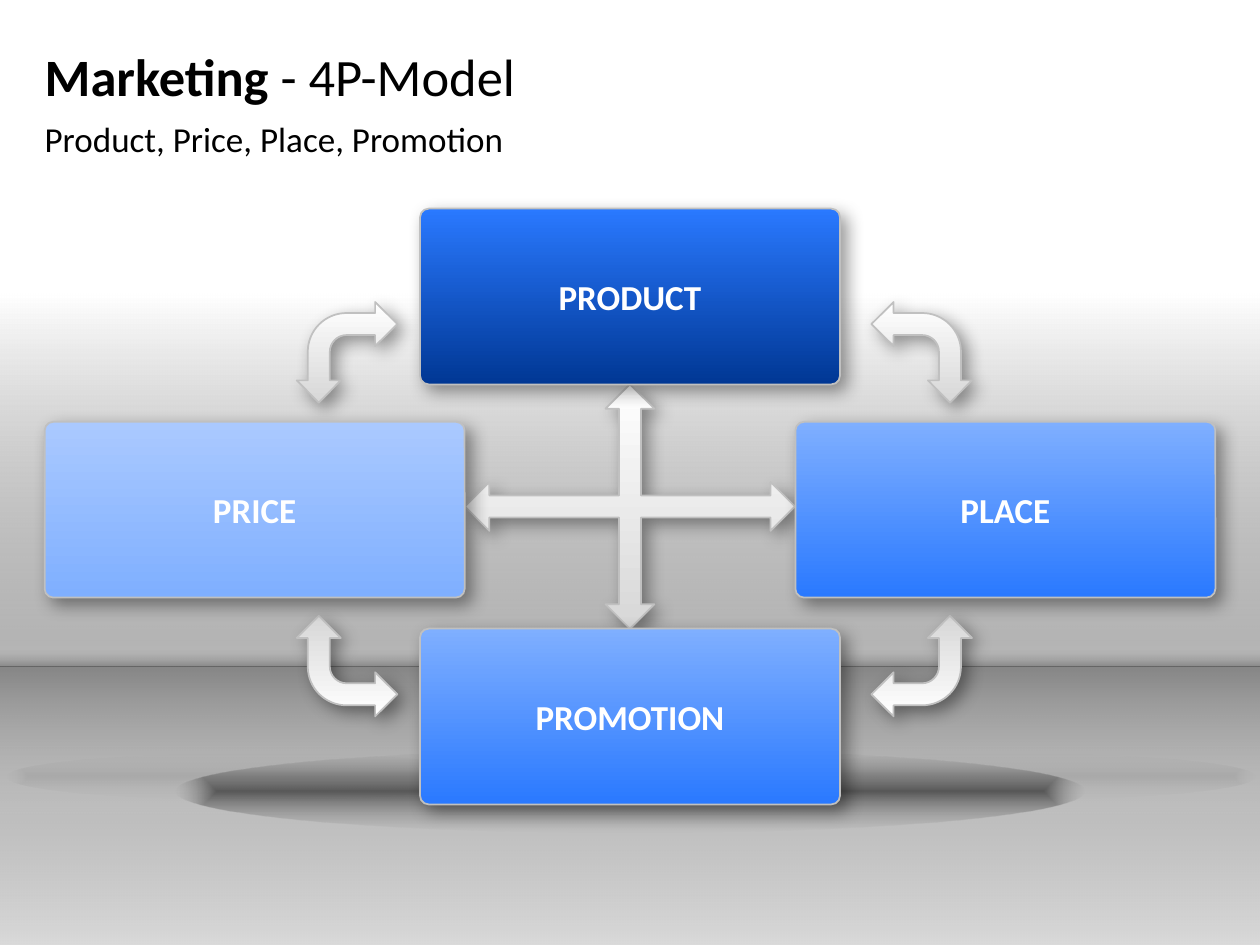
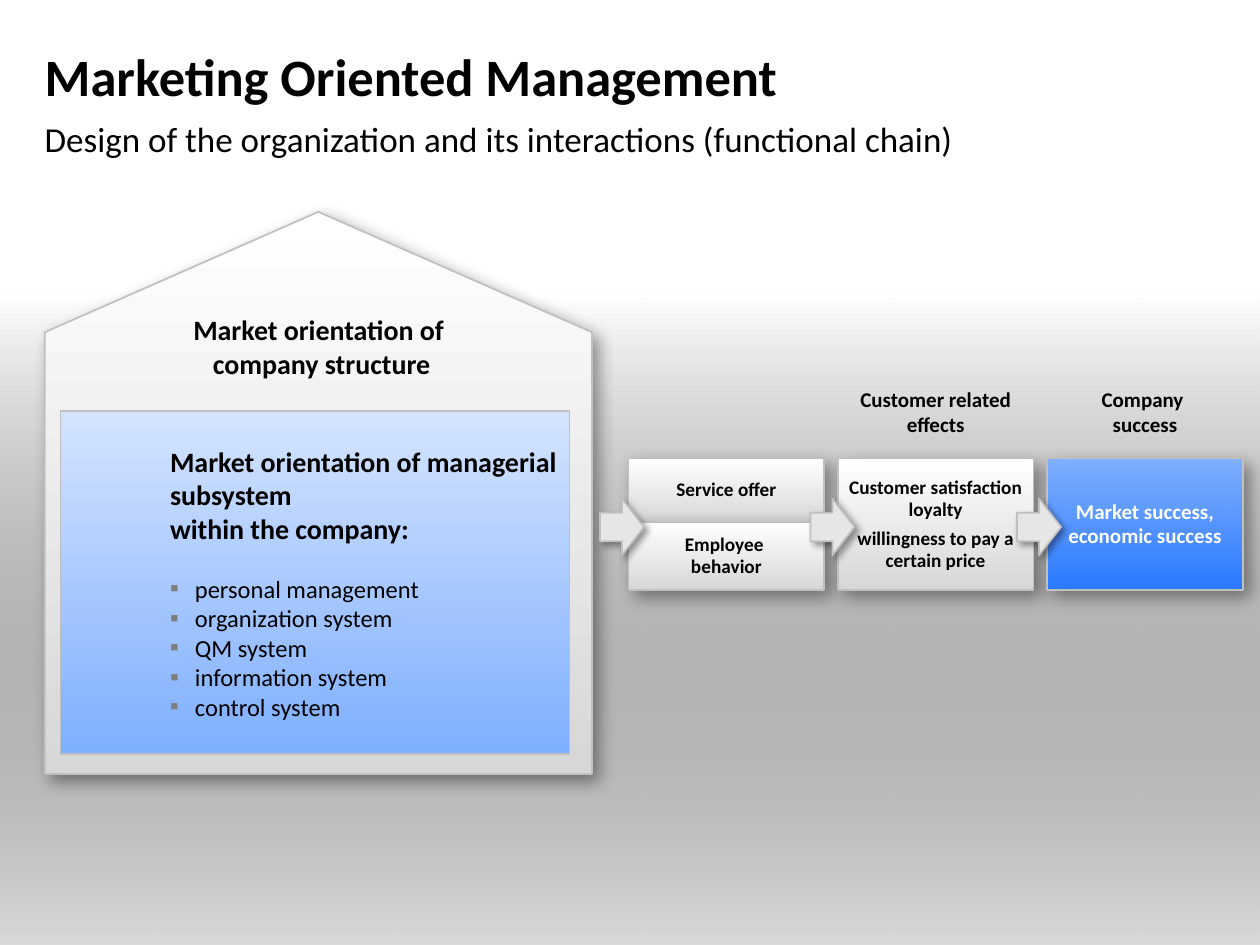
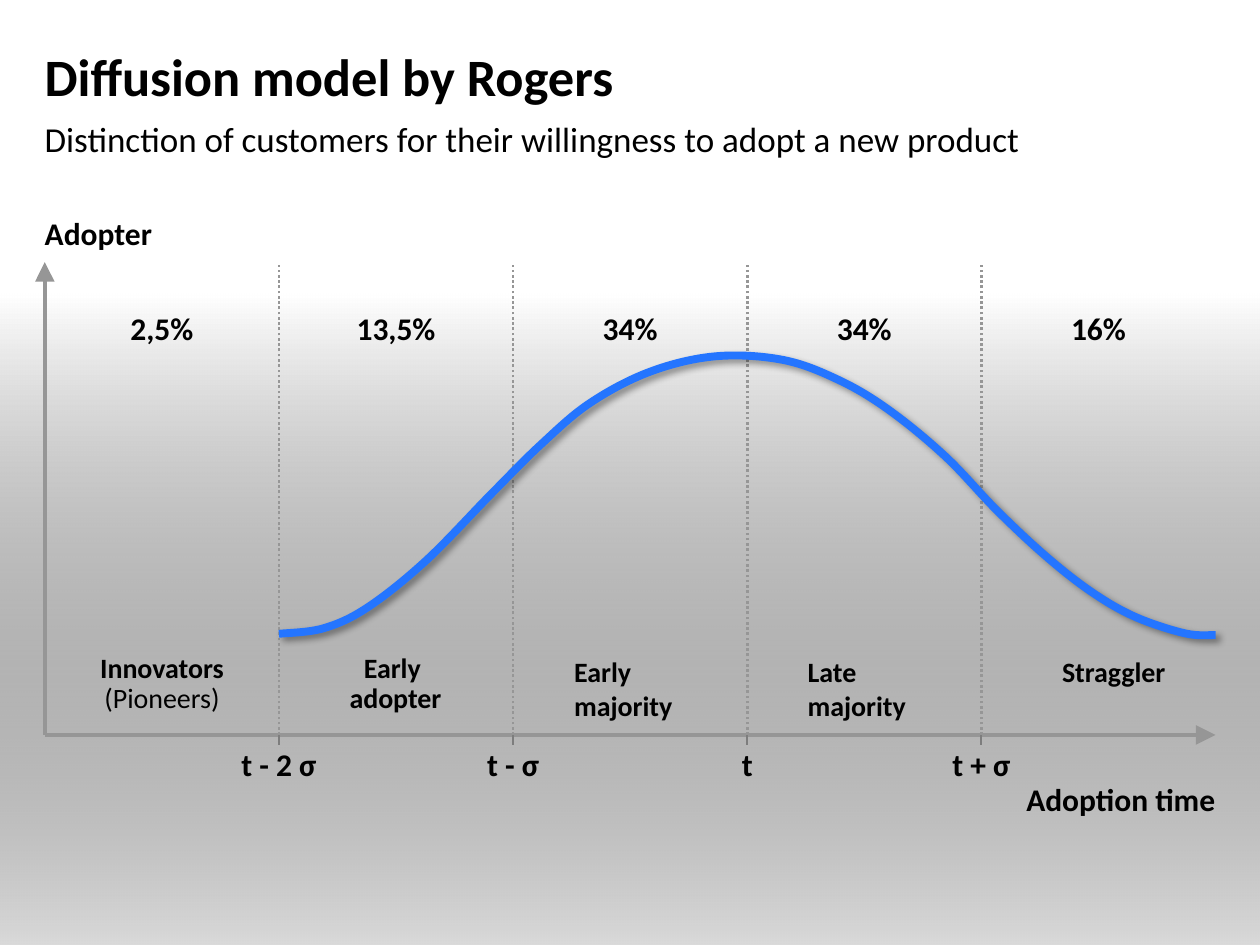
from copy import deepcopy

from lxml import etree
from pptx import Presentation
from pptx.dml.color import RGBColor
from pptx.enum.dml import MSO_LINE
from pptx.enum.shapes import MSO_CONNECTOR, MSO_SHAPE
from pptx.enum.text import MSO_ANCHOR, PP_ALIGN
from pptx.oxml.ns import qn
from pptx.util import Pt

LEFT, CENTER, RIGHT = PP_ALIGN.LEFT, PP_ALIGN.CENTER, PP_ALIGN.RIGHT
TOP, MIDDLE = MSO_ANCHOR.TOP, MSO_ANCHOR.MIDDLE
RECT, ROUNDED, OVAL = MSO_SHAPE.RECTANGLE, MSO_SHAPE.ROUNDED_RECTANGLE, MSO_SHAPE.OVAL
HOUSE, DOWN_ARROW, QUAD_ARROW = MSO_SHAPE.PENTAGON, MSO_SHAPE.DOWN_ARROW, MSO_SHAPE.QUAD_ARROW
STRAIGHT, DOTTED = MSO_CONNECTOR.STRAIGHT, MSO_LINE.ROUND_DOT

FONT = "Calibri"
COLORS = {
    "black": "000000", "white": "FFFFFF", "silver": "D7D7D7", "smoke": "E6E6E6",
    "border": "C0C0C0", "bullet": "7D7D7D", "axis": "969696", "shade": "7F7F7F",
    "ice": "D4E4FF", "pale": "AAC9FF", "sky": "7FAFFF", "blue": "2A79FF",
    "navy": "003794", "curve": "2475FF",
}
DOWNWARD, UPWARD = 270, 90
DEEP, SOFT = (10, 5), (4, 3)
BORDER = ("border", 1)
DEFAULT_INSETS = (7.2, 3.6, 7.2, 3.6)


def paint(shape, colors, angle=DOWNWARD, alphas=(), line=BORDER, shadow=DEEP):
    if len(colors) == 2:
        shape.fill.gradient()
        shape.fill.gradient_angle = angle
        for stop, color in zip(shape.fill.gradient_stops, colors):
            stop.color.rgb = RGBColor.from_string(COLORS[color])
        for tone, alpha in zip(shape.element.spPr.iter(qn("a:srgbClr")), alphas):
            etree.SubElement(tone, qn("a:alpha"), val=str(alpha * 1000))
    elif colors:
        shape.fill.solid()
        shape.fill.fore_color.rgb = RGBColor.from_string(COLORS[colors[0]])
    else:
        shape.fill.background()
    if line:
        shape.line.color.rgb = RGBColor.from_string(COLORS[line[0]])
        shape.line.width = Pt(line[1])
    else:
        shape.line.fill.background()
    shape.shadow.inherit = False
    if shadow:
        blur, distance = shadow
        effects = shape.element.spPr.find(qn("a:effectLst"))
        outer = etree.SubElement(effects, qn("a:outerShdw"), blurRad=str(Pt(blur)),
                                 dist=str(Pt(distance)), dir="2700000", algn="tl", rotWithShape="0")
        tone = etree.SubElement(outer, qn("a:srgbClr"), val=COLORS["black"])
        etree.SubElement(tone, qn("a:alpha"), val="40000")


def write(shape, texts, size, color="black", align=CENTER, anchor=MIDDLE, bold=True,
          light="", insets=(0, 0, 0, 0), wrap=True, spacing=None, after=0):
    frame = shape.text_frame
    frame.word_wrap = wrap
    frame.vertical_anchor = anchor
    frame.margin_left, frame.margin_top, frame.margin_right, frame.margin_bottom = map(Pt, insets)
    frame.text = "\n".join(texts)
    if light:
        frame.paragraphs[-1].add_run().text = light
    for paragraph in frame.paragraphs:
        paragraph.alignment = align
        paragraph.line_spacing = spacing
        paragraph.space_after = Pt(after)
        for run in paragraph.runs:
            run.font.name, run.font.size = FONT, Pt(size)
            run.font.bold = bold and run.text != light
            run.font.color.rgb = RGBColor.from_string(COLORS[color])
        for line_break in paragraph._p.findall(qn("a:br")):
            line_break.insert(0, deepcopy(paragraph.runs[0]._r.rPr))
    return frame


prs = Presentation()
prs.slide_width, prs.slide_height = Pt(720), Pt(540)
blank = prs.slide_layouts[6]

headings = [
    ("Marketing ", "- 4P-Model", "Product, Price, Place, Promotion"),
    ("Marketing Oriented Management", "",
     "Design of the organization and its interactions (functional chain)"),
    ("Diffusion model by Rogers", "",
     "Distinction of customers for their willingness to adopt a new product"),
]
canvases = []
for title, title_rest, subtitle in headings:
    shapes = prs.slides.add_slide(blank).shapes
    write(shapes.add_textbox(Pt(25.5), Pt(19), Pt(669), Pt(48.2)),
          [title], 30, align=LEFT, light=title_rest)
    write(shapes.add_textbox(Pt(25.5), Pt(67.3), Pt(669), Pt(26.6)),
          [subtitle], 20, align=LEFT, anchor=TOP, bold=False)
    canvases.append(shapes)
model, chain, diffusion = canvases

backdrop = model.add_shape(RECT, 0, Pt(167.8), Pt(720), Pt(372.2))
paint(backdrop, ("black", "white"), UPWARD, (15, 100), None, None)
blank.shapes._spTree.insert(2, backdrop.element)

for top, height, angle in [(381, 93.6, DOWNWARD), (368.6, 12.3, UPWARD)]:
    floor = model.add_shape(RECT, 0, Pt(top), Pt(720), Pt(height))
    paint(floor, ("black", "white"), angle, (26, 0), None, None)

for left, top, width, height, alpha in [
    (434.2, 430.6, 283, 26, 7), (100.1, 428.4, 519.8, 47.5, 52), (3.6, 430.6, 283, 26, 7),
]:
    puddle = model.add_shape(OVAL, Pt(left), Pt(top), Pt(width), Pt(height))
    paint(puddle, ("black", "shade"), DOWNWARD, (alpha, 0), None, None)
    linear = puddle.element.spPr.find(".//" + qn("a:lin"))
    radial = etree.Element(qn("a:path"), path="shape")
    etree.SubElement(radial, qn("a:fillToRect"), l="50000", t="50000", r="50000", b="50000")
    linear.getparent().replace(linear, radial)

curved = []
SPAN = 57.5
elbow = [
    (44.8, 0), (SPAN, 12.6), (44.8, 25.2), (44.8, 18.9), (28.5, 18.9),
    (23.2, 18.9), (18.9, 23.2), (18.9, 28.5),
    (18.9, 44.8), (25.2, 44.8), (12.6, SPAN), (0, 44.8), (6.3, 44.8), (6.3, 28.5),
    (6.3, 16.2), (16.2, 6.3), (28.5, 6.3), (44.8, 6.3),
]
for top, lower in [(172.6, False), (351.9, True)]:
    for left, mirrored in [(169.6, False), (498, True)]:
        corners = [(Pt(left + (SPAN - x if mirrored else x)), Pt(top + (SPAN - y if lower else y)))
                   for x, y in elbow]
        builder = model.build_freeform(*corners[0])
        builder.add_line_segments(corners[1:], close=True)
        corner_arrow = builder.convert_to_shape()
        paint(corner_arrow, ("silver", "white"), DOWNWARD if lower else UPWARD)
        curved.append((corner_arrow, (4, 13)))

cross = model.add_shape(QUAD_ARROW, Pt(265.7), Pt(219.6), Pt(188.6), Pt(139.7))
for index, ratio in enumerate((0.09, 0.1, 0.1)):
    cross.adjustments[index] = ratio
paint(cross, ("silver", "white"), UPWARD)

for label, left, top, tones in [
    ("PRICE", 25.5, 241, ("pale", "sky")),
    ("PRODUCT", 240, 119.2, ("blue", "navy")),
    ("PROMOTION", 240, 359.2, ("sky", "blue")),
    ("PLACE", 454.5, 241, ("sky", "blue")),
]:
    card = model.add_shape(ROUNDED, Pt(left), Pt(top), Pt(240), Pt(100.5))
    card.adjustments[0] = 0.05
    paint(card, tones)
    write(card, [label], 20, "white")

house = chain.add_shape(HOUSE, Pt(21.3), Pt(125.4), Pt(321.3), Pt(312.6))
house.rotation = 270
house.adjustments[0] = 0.22
paint(house, ("white", "silver"), 180)
write(chain.add_textbox(Pt(102.2), Pt(175), Pt(163.4), Pt(46)),
      ["Market orientation of \vcompany structure"], 16,
      anchor=TOP, insets=DEFAULT_INSETS, wrap=False)

subsystem = chain.add_shape(RECT, Pt(34.6), Pt(235), Pt(290.8), Pt(195.8))
paint(subsystem, ("ice", "sky"), shadow=None)
systems = ["personal management", "organization system", "QM system",
           "information system", "control system"]
frame = write(subsystem,
              ["Market orientation of managerial subsystem \vwithin the company:"] + systems,
              16, align=LEFT, insets=(62.6, 3.6, 7.2, 3.6))
frame.paragraphs[0].space_after = Pt(16.5)
for paragraph in frame.paragraphs[1:]:
    paragraph.runs[0].font.size = Pt(14)
    paragraph.runs[0].font.bold = False
    properties = paragraph._p.get_or_add_pPr()
    properties.set("marL", str(Pt(14.2)))
    properties.set("indent", str(-Pt(14.2)))
    bullet_color = etree.SubElement(properties, qn("a:buClr"))
    etree.SubElement(bullet_color, qn("a:srgbClr"), val=COLORS["bullet"])
    etree.SubElement(properties, qn("a:buFont"), typeface=FONT)
    etree.SubElement(properties, qn("a:buChar"), char="▪")

STAGE_LEFT, STAGE_STEP, STAGE_WIDTH = 359.2, 119.6, 111.8
GRAY, BLUE = ("white", "silver"), ("sky", "blue")
for column, top, height, texts, size, color, tones, after in [
    (0, 262, 36.3, ["Service offer"], 11, "black", GRAY, 8),
    (0, 298.3, 38.9, ["Employee \vbehavior"], 11, "black", GRAY, 8),
    (1, 262, 75.4, ["Customer satisfaction\vloyalty", "willingness to pay a certain price"],
     11, "black", GRAY, 4),
    (2, 262, 75.4, ["Market success, economic success"], 12, "white", BLUE, 8),
]:
    stage = chain.add_shape(RECT, Pt(STAGE_LEFT + column * STAGE_STEP), Pt(top),
                            Pt(STAGE_WIDTH), Pt(height))
    paint(stage, tones)
    write(stage, texts, size, color, spacing=0.95, after=after)

for column, heading in [(1, "Customer related effects"), (2, "Company \vsuccess")]:
    write(chain.add_textbox(Pt(STAGE_LEFT + column * STAGE_STEP), Pt(208.1),
                            Pt(STAGE_WIDTH), Pt(54)),
          [heading], 12, insets=DEFAULT_INSETS)

for left in (459.5, 577.6, 339.2):
    step_arrow = chain.add_shape(DOWN_ARROW, Pt(left), Pt(288.5), Pt(32.4), Pt(25.2))
    step_arrow.rotation = 270
    paint(step_arrow, ("smoke",), shadow=SOFT)

AXIS_LEFT, AXIS_Y, PERIOD = 25.6, 420, 133.8
rules = [
    (AXIS_LEFT, AXIS_Y, AXIS_LEFT + 5 * PERIOD, AXIS_Y, "axis", 2.25, None, True),
    (AXIS_LEFT, AXIS_Y, AXIS_LEFT, 149.8, "axis", 2.25, None, True),
]
for index, moment in enumerate(["t - 2 σ", "t - σ", "t", "t + σ"], 1):
    x = AXIS_LEFT + index * PERIOD
    rules.append((x, AXIS_Y, x, 425.5, "bullet", 1, None, False))
    rules.append((x, AXIS_Y, x, 151.2, "axis", 1.5, DOTTED, False))
    write(diffusion.add_textbox(Pt(x - 31.7), Pt(425.9), Pt(63.4), Pt(21.6)),
          [moment], 18, anchor=TOP)

for x1, y1, x2, y2, color, width, dash, arrow in rules:
    rule = diffusion.add_connector(STRAIGHT, Pt(x1), Pt(y1), Pt(x2), Pt(y2))
    rule.line.color.rgb = RGBColor.from_string(COLORS[color])
    rule.line.width = Pt(width)
    if dash:
        rule.line.dash_style = dash
    if arrow:
        etree.SubElement(rule.line._get_or_add_ln(), qn("a:tailEnd"),
                         type="triangle", w="lg", len="lg")
    etree.SubElement(rule.element.spPr, qn("a:effectLst"))

for axis_name, left, top, align in [("Adopter", AXIS_LEFT, 122.4, LEFT),
                                    ("Adoption time", 562, 445.7, RIGHT)]:
    write(diffusion.add_textbox(Pt(left), Pt(top), Pt(132.5), Pt(21.6)),
          [axis_name], 18, align=align, anchor=TOP)

for index, share in enumerate(["2,5%", "13,5%", "34%", "34%", "16%"]):
    write(diffusion.add_textbox(Pt(AXIS_LEFT + (index + 0.5) * PERIOD - 30), Pt(172.8),
                                Pt(60), Pt(28.8)),
          [share], 18, anchor=TOP, insets=DEFAULT_INSETS, wrap=False)

knots = [
    (159.4, 362.2), (185, 359), (210.2, 347), (243.4, 320.4), (280.8, 282.2), (308.9, 254.2),
    (337, 230.4), (371.5, 212.4), (409, 203.6), (447.1, 205.6), (478.8, 216.9), (507.6, 234),
    (540, 260.6), (570.2, 292.2), (599, 319), (625, 339.1), (649.4, 352.8), (677.5, 362),
    (694.6, 362.9),
]
padded = [knots[0]] + knots + [knots[-1]]
handles = []
for before, start, end, beyond in zip(padded, padded[1:], padded[2:], padded[3:]):
    handles.append([Pt(b + (c - a) / 6) for a, b, c in zip(before, start, end)])
    handles.append([Pt(c - (d - b) / 6) for b, c, d in zip(start, end, beyond)])
    handles.append([Pt(c) for c in end])
builder = diffusion.build_freeform(Pt(knots[0][0]), Pt(knots[0][1]))
builder.add_line_segments(handles, close=False)
adoption = builder.convert_to_shape()
paint(adoption, (), line=("curve", 4.5), shadow=SOFT)
curved.append((adoption, range(0, len(handles), 3)))

for outline, starts in curved:
    segments = list(outline.element.spPr.iter(qn("a:lnTo")))
    for start in starts:
        bend = etree.Element(qn("a:cubicBezTo"))
        segments[start].addprevious(bend)
        for segment in segments[start:start + 3]:
            bend.append(segment[0])
            segment.getparent().remove(segment)

for index, (adopter, rest, offset, width, height, align, spacing) in enumerate([
    ("Innovators\v", "(Pioneers)", 23.8, 86.4, 42.5, CENTER, 0.9),
    ("Early \vadopter", "", 32.8, 67.7, 42.5, CENTER, 0.9),
    ("Early \vmajority", "", 27.8, 71.3, 46, LEFT, None),
    ("Late \vmajority", "", 27.4, 71.3, 46, LEFT, None),
    ("Straggler", "", 39, 74.9, 26.6, LEFT, None),
]):
    write(diffusion.add_textbox(Pt(AXIS_LEFT + index * PERIOD + offset), Pt(370.5),
                                Pt(width), Pt(height)),
          [adopter], 16, align=align, anchor=TOP, light=rest,
          insets=DEFAULT_INSETS, wrap=False, spacing=spacing)

prs.save("out.pptx")
